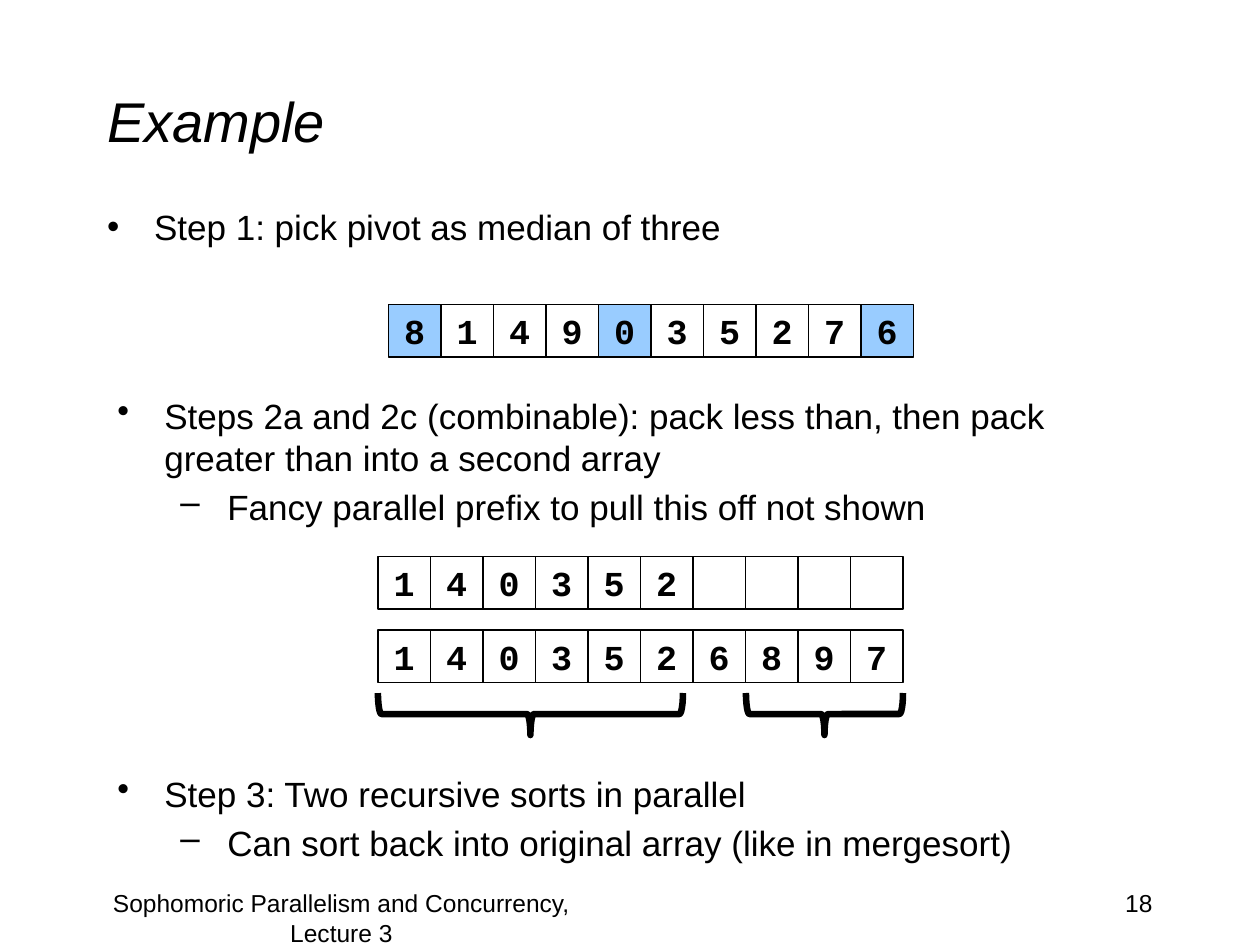
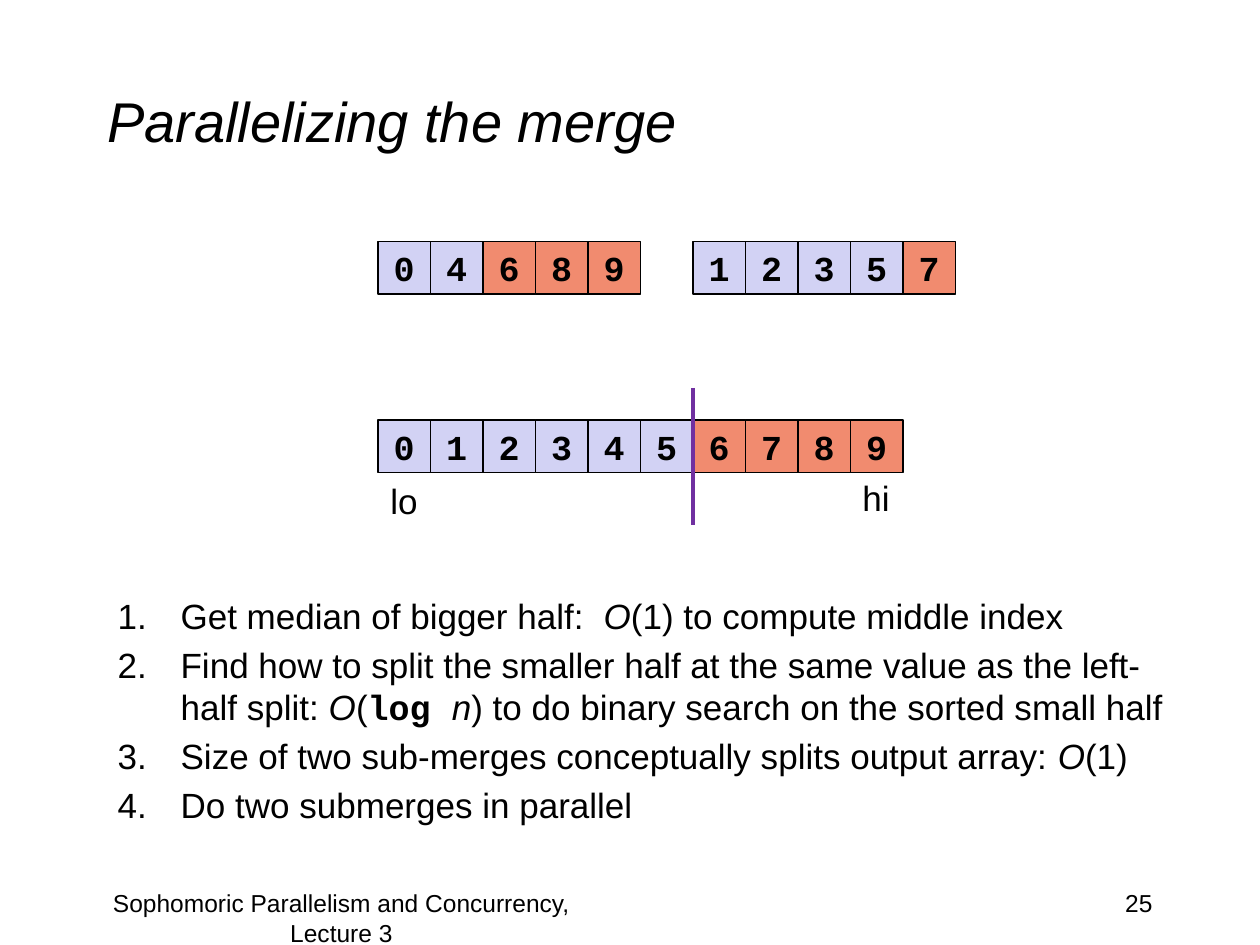
"""Build two lecture slides on parallel sorting and merging."""
from dataclasses import dataclass
from typing import NamedTuple, Optional

from lxml.etree import SubElement
from pptx import Presentation
from pptx.dml.color import RGBColor
from pptx.enum.shapes import MSO_CONNECTOR, MSO_SHAPE
from pptx.enum.text import MSO_ANCHOR, MSO_AUTO_SIZE, PP_ALIGN
from pptx.oxml.ns import qn
from pptx.shapes.base import BaseShape
from pptx.slide import Slide
from pptx.text.text import Font, TextFrame
from pptx.util import Emu, Pt

SCALE = 914400 / 126


def px(count: float) -> Emu:
    return Emu(round(count * SCALE))


@dataclass(frozen=True)
class Theme:
    ink: RGBColor = RGBColor(0, 0, 0)
    sky: RGBColor = RGBColor(0x99, 0xCC, 0xFF)
    low: RGBColor = RGBColor(0xD2, 0xD2, 0xF4)
    high: RGBColor = RGBColor(0xF1, 0x8B, 0x6F)
    split: RGBColor = RGBColor(0x70, 0x30, 0xA0)
    sans: str = "Arial"
    mono: str = "Courier New"
    title: int = 32
    body: int = 20
    foot: int = 14
    thin: float = 0.75
    rule: float = 2.25
    brace: float = 3.75


class Box(NamedTuple):
    left: float
    top: float
    width: float
    height: float


class Run(NamedTuple):
    text: str
    slant: bool = False
    code: bool = False


class Mark(NamedTuple):
    tag: str
    key: str
    value: str
    margin: int
    hang: int
    level: int = 0


@dataclass(frozen=True)
class Item:
    mark: Mark
    runs: tuple[Run, ...]


@dataclass(frozen=True)
class Row:
    left: int
    top: int
    digits: str
    hues: tuple[Optional[RGBColor], ...]


THEME = Theme()
DOT = Mark("a:buChar", "char", "•", 47, 47)
DASH = Mark("a:buChar", "char", "–", 110, 47, 1)
COUNT = Mark("a:buAutoNum", "type", "arabicPeriod", 63, 63)
TITLE = Box(94.5, 42, 1071, 157)
NUMBER = Box(903, 882, 262, 63)
FOOTER = Box(63, 882, 557, 63)
CELL = 525 / 10
PLAIN = (None,) * 10
BIG_O = Run("O", slant=True)


def place(shape: BaseShape, box: Box) -> None:
    shape.left, shape.top, shape.width, shape.height = map(px, box)


def style(font: Font, size: int, face: str = THEME.sans) -> None:
    font.name, font.size = face, Pt(size)
    font.color.rgb = THEME.ink


def label(slide: Slide, box: Box, text: str, size: int, align: PP_ALIGN,
          wrap: bool = True) -> None:
    frame = slide.shapes.add_textbox(*map(px, box)).text_frame
    frame.word_wrap = wrap
    frame.auto_size = MSO_AUTO_SIZE.NONE if wrap else MSO_AUTO_SIZE.SHAPE_TO_FIT_TEXT
    frame.text = text
    para = frame.paragraphs[0]
    para.alignment = align
    style(para.font, size)


def fill_list(frame: TextFrame, items: list[Item]) -> None:
    frame.word_wrap = True
    frame.auto_size = MSO_AUTO_SIZE.NONE
    frame.vertical_anchor = MSO_ANCHOR.TOP
    for index, item in enumerate(items):
        para = frame.add_paragraph() if index else frame.paragraphs[0]
        mark = item.mark
        para.level = mark.level
        para.alignment = PP_ALIGN.LEFT
        para.space_before = Pt(THEME.body * 0.2)
        props = para._p.get_or_add_pPr()
        props.set("marL", str(px(mark.margin)))
        props.set("indent", str(-px(mark.hang)))
        SubElement(props, qn(mark.tag)).set(mark.key, mark.value)
        style(para.font, THEME.body)
        for part in item.runs:
            run = para.add_run()
            run.text = part.text
            if part.slant:
                run.font.italic = True
            if part.code:
                run.font.name, run.font.bold = THEME.mono, True


def add_list(slide: Slide, box: Box, items: list[Item]) -> None:
    fill_list(slide.shapes.add_textbox(*map(px, box)).text_frame, items)


def place_list(slide: Slide, box: Box, items: list[Item]) -> None:
    body = slide.placeholders[1]
    place(body, box)
    fill_list(body.text_frame, items)


def add_row(slide: Slide, row: Row) -> None:
    for index, (digit, hue) in enumerate(zip(row.digits, row.hues)):
        box = Box(row.left + index * CELL, row.top, CELL, CELL)
        cell = slide.shapes.add_shape(MSO_SHAPE.RECTANGLE, *map(px, box))
        cell.shadow.inherit = False
        cell.line.color.rgb, cell.line.width = THEME.ink, Pt(THEME.thin)
        if hue is None:
            cell.fill.background()
        else:
            cell.fill.solid()
            cell.fill.fore_color.rgb = hue
        if digit.strip():
            frame = cell.text_frame
            frame.word_wrap = False
            frame.vertical_anchor = MSO_ANCHOR.MIDDLE
            frame.text = digit
            para = frame.paragraphs[0]
            para.alignment = PP_ALIGN.CENTER
            style(para.font, THEME.body, THEME.mono)
            para.font.bold = True


def add_brace(slide: Slide, box: Box) -> None:
    shift = (box.width - box.height) / 2
    turned = Box(box.left + shift, box.top - shift, box.height, box.width)
    brace = slide.shapes.add_shape(MSO_SHAPE.LEFT_BRACE, *map(px, turned))
    brace.rotation = 270
    brace.shadow.inherit = False
    brace.fill.background()
    brace.line.color.rgb, brace.line.width = THEME.ink, Pt(THEME.brace)


def add_split(slide: Slide, left: int, top: int, end: int) -> None:
    line = slide.shapes.add_connector(
        MSO_CONNECTOR.STRAIGHT, px(left), px(top), px(left), px(end))
    line.line.color.rgb, line.line.width = THEME.split, Pt(THEME.rule)
    SubElement(line._element.spPr, qn("a:effectLst"))


def halves(digits: str) -> tuple[RGBColor, ...]:
    return tuple(THEME.high if int(digit) > 5 else THEME.low for digit in digits)


def start(deck: Presentation, title: str, number: int) -> Slide:
    slide = deck.slides.add_slide(deck.slide_layouts[1])
    head = slide.shapes.title
    place(head, TITLE)
    frame = head.text_frame
    frame.text = title
    frame.auto_size = MSO_AUTO_SIZE.NONE
    frame.vertical_anchor = MSO_ANCHOR.MIDDLE
    para = frame.paragraphs[0]
    para.alignment = PP_ALIGN.LEFT
    style(para.font, THEME.title)
    para.font.italic = True
    label(slide, NUMBER, str(number), THEME.foot, PP_ALIGN.RIGHT)
    label(slide, FOOTER, "Sophomoric Parallelism and Concurrency, Lecture 3",
          THEME.foot, PP_ALIGN.CENTER)
    return slide


def draw_sort(deck: Presentation) -> None:
    slide = start(deck, "Example", 18)
    place_list(slide, Box(94.5, 199, 1071, 63), [
        Item(DOT, (Run("Step 1: pick pivot as median of three"),))])
    add_list(slide, Box(105, 388, 1071, 147), [
        Item(DOT, (Run("Steps 2a and 2c (combinable): pack less than, "
                       "then pack greater than into a second array"),)),
        Item(DASH, (Run("Fancy parallel prefix to pull this off not shown"),))])
    add_list(slide, Box(105, 766, 1071, 105), [
        Item(DOT, (Run("Step 3: Two recursive sorts in parallel"),)),
        Item(DASH, (Run("Can sort back into original array (like in mergesort)"),))])
    picks = tuple(THEME.sky if index in (0, 4, 9) else None for index in range(10))
    for row in (Row(388.5, 304.5, "8149035276", picks),
                Row(378, 556.5, "140352".ljust(10), PLAIN),
                Row(378, 630, "1403526897", PLAIN)):
        add_row(slide, row)
    for left, width in ((378, 305), (746, 157)):
        add_brace(slide, Box(left, 693, width, 42))


def draw_merge(deck: Presentation) -> None:
    slide = start(deck, "Parallelizing the merge", 25)
    place_list(slide, Box(105, 588, 1092, 242), [
        Item(COUNT, (Run("Get median of bigger half:  "), BIG_O,
                     Run("(1) to compute middle index"))),
        Item(COUNT, (Run("Find how to split the smaller half at the same value "
                         "as the left-half split: "), BIG_O, Run("("),
                     Run("log ", code=True), Run("n", slant=True),
                     Run(") to do binary search on the sorted small half"))),
        Item(COUNT, (Run("Size of two sub-merges conceptually splits output array: "),
                     BIG_O, Run("(1)"))),
        Item(COUNT, (Run("Do two submerges in parallel"),))])
    for left, top, digits in ((378, 241.5, "04689"), (693, 241.5, "12357"),
                              (378, 420, "0123456789")):
        add_row(slide, Row(left, top, digits, halves(digits)))
    for left, top, text in ((378, 473, "lo"), (850, 470, "hi")):
        label(slide, Box(left, top, 53, 55), text, THEME.body, PP_ALIGN.LEFT, False)
    add_split(slide, 693, 388, 525)


def main() -> None:
    deck = Presentation()
    deck.slide_width, deck.slide_height = px(1260), px(945)
    draw_sort(deck)
    draw_merge(deck)
    deck.save("out.pptx")


main()
